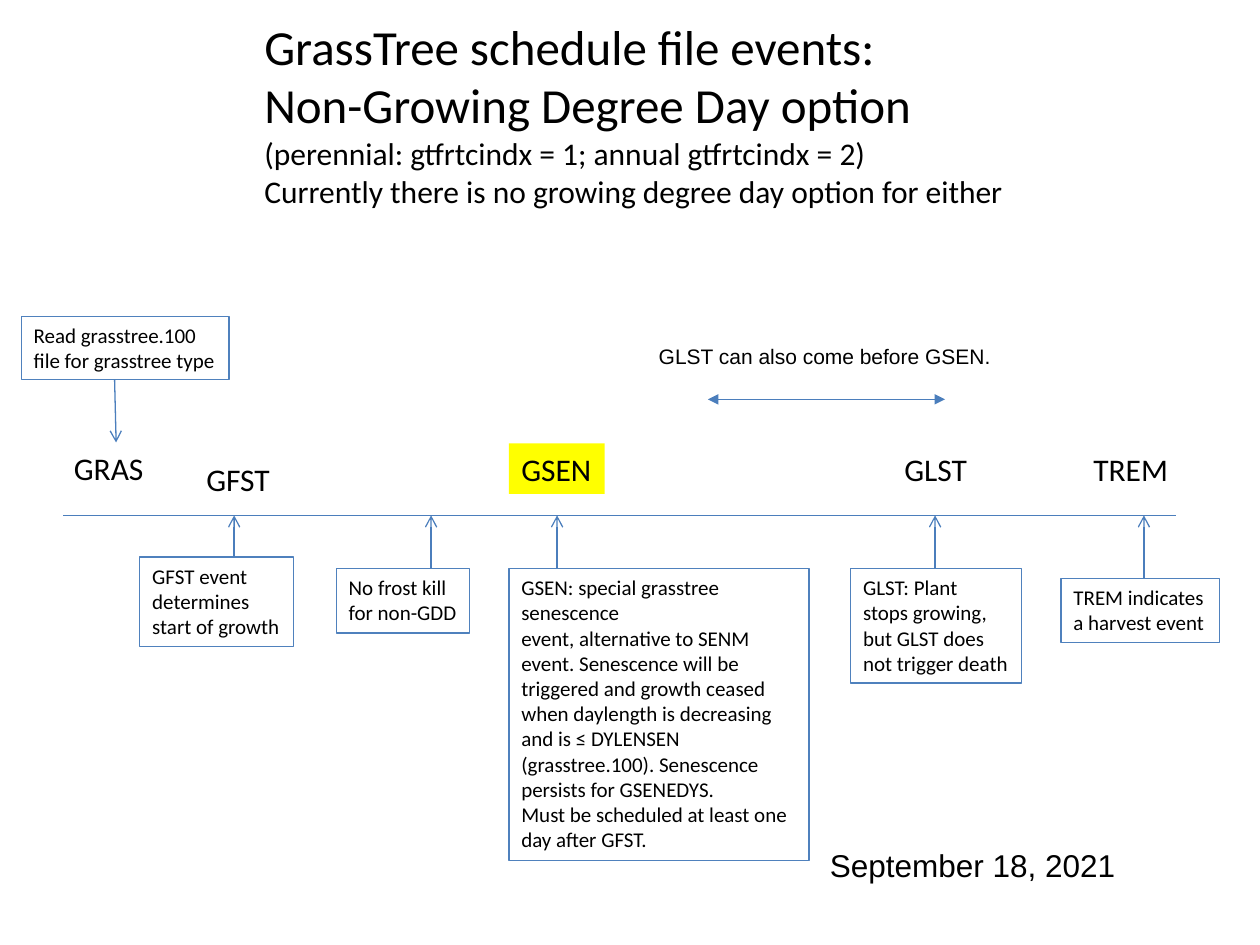
from lxml.etree import SubElement
from pptx import Presentation
from pptx.dml.color import RGBColor as Rgb
from pptx.enum.shapes import MSO_CONNECTOR as Link
from pptx.enum.text import MSO_AUTO_SIZE as Fit
from pptx.oxml.ns import qn
from pptx.util import Cm, Pt

INK, EDGE, LINE, GLOW = "000000", "4F81BD", "4B7EBC", "FFFF00"
AXIS = 10.39

TITLE = [
    ("GrassTree schedule file events:", 28),
    ("Non-Growing Degree Day option", 28),
    ("(perennial: gtfrtcindx = 1; annual gtfrtcindx = 2)", 18),
    ("Currently there is no growing degree day option for either", 18),
]
LABELS = [
    ("GRAS", 1.24, 8.92, 1.93, None),
    ("GFST", 3.91, 9.14, 1.8, None),
    ("GSEN", 10.26, 8.94, 1.93, GLOW),
    ("GLST", 17.98, 8.94, 1.78, None),
    ("TREM", 21.79, 8.94, 2.03, None),
]
NOTES = [
    (4.72, (2.82, 11.23, 3.1, 1.8), False,
     ["GFST event", "determines", "start of growth"]),
    (8.69, (6.78, 11.46, 2.69, 1.3), False,
     ["No frost kill", "for non-GDD"]),
    (11.23, (10.26, 11.46, 6.05, 5.89), True,
     ["GSEN: special grasstree senescence",
      "event, alternative to SENM event. Senescence will be triggered and "
      "growth ceased when daylength is decreasing and is ≤ DYLENSEN "
      "(grasstree.100). Senescence persists for GSENEDYS.",
      "Must be scheduled at least one day after GFST."]),
    (18.85, (17.15, 11.46, 3.45, 2.31), False,
     ["GLST: Plant", "stops growing,", "but GLST does", "not trigger death"]),
    (23.06, (21.39, 11.66, 3.2, 1.3), False,
     ["TREM indicates", "a harvest event"]),
]


def tint(code):
    """Return the colour for a hex string."""
    return Rgb.from_string(code)


def style(item, form):
    """Set each attribute named in a dict of format values."""
    for key, value in form.items():
        setattr(item, key, value)


def text(slide, place, rows, face="Calibri", wrap=False, fill=None, edge=None):
    """Add a text box from (words, size) rows, with optional fill and edge."""
    box = slide.shapes.add_textbox(*map(Cm, place))
    frame = box.text_frame
    style(frame, {"word_wrap": wrap, "auto_size": Fit.SHAPE_TO_FIT_TEXT})
    if fill:
        box.fill.solid()
        box.fill.fore_color.rgb = tint(fill)
    if edge:
        box.line.color.rgb = tint(edge)
        box.line.width = Pt(0.75)
    for num, (words, size) in enumerate(rows):
        para = frame.add_paragraph() if num else frame.paragraphs[0]
        run = para.add_run()
        run.text = words
        style(run.font, {"name": face, "size": Pt(size)})
        run.font.color.rgb = tint(INK)
    return box


def note(slide, place, rows, wrap=False):
    """Add an outlined box of small text."""
    return text(slide, place, [(row, 12) for row in rows], wrap=wrap, edge=EDGE)


def line(slide, ends, head=None, tail=None):
    """Add a thin line with optional arrowheads."""
    link = slide.shapes.add_connector(Link.STRAIGHT, *map(Cm, ends))
    link.line.color.rgb = tint(LINE)
    link.line.width = Pt(0.75)
    stroke = link.line._get_or_add_ln()
    for tag, kind in (("a:headEnd", head), ("a:tailEnd", tail)):
        if kind:
            SubElement(stroke, qn(tag), type=kind)
    SubElement(link._element.spPr, qn("a:effectLst"))
    return link


def main():
    """Build and save the slide."""
    deck = Presentation()
    style(deck, {"slide_width": Cm(25.4), "slide_height": Cm(19.05)})
    slide = deck.slides.add_slide(deck.slide_layouts[6])

    text(slide, (5.08, 0.2, 15.6, 4.19), TITLE)
    line(slide, (1.27, AXIS, 23.7, AXIS))
    for word, left, top, width, fill in LABELS:
        text(slide, (left, top, width, 1.02), [(word, 18)], fill=fill)
    for mid, place, wrap, rows in NOTES:
        note(slide, place, rows, wrap)
        line(slide, (mid, place[1], mid, AXIS), tail="arrow")

    note(slide, (0.43, 6.38, 4.19, 1.27),
         ["Read grasstree.100", "file for grasstree type"])
    line(slide, (2.31, 7.65, 2.34, 8.92), tail="arrow")
    text(slide, (13.03, 6.81, 7.26, 0.76),
         [("GLST can also come before GSEN.", 12)], "Arial")
    line(slide, (14.27, 8.05, 19.05, 8.05), "triangle", "triangle")
    text(slide, (16.48, 16.94, 6.32, 1.02), [("September 18, 2021", 18)], "Arial")
    deck.save("out.pptx")


if __name__ == "__main__":
    main()
